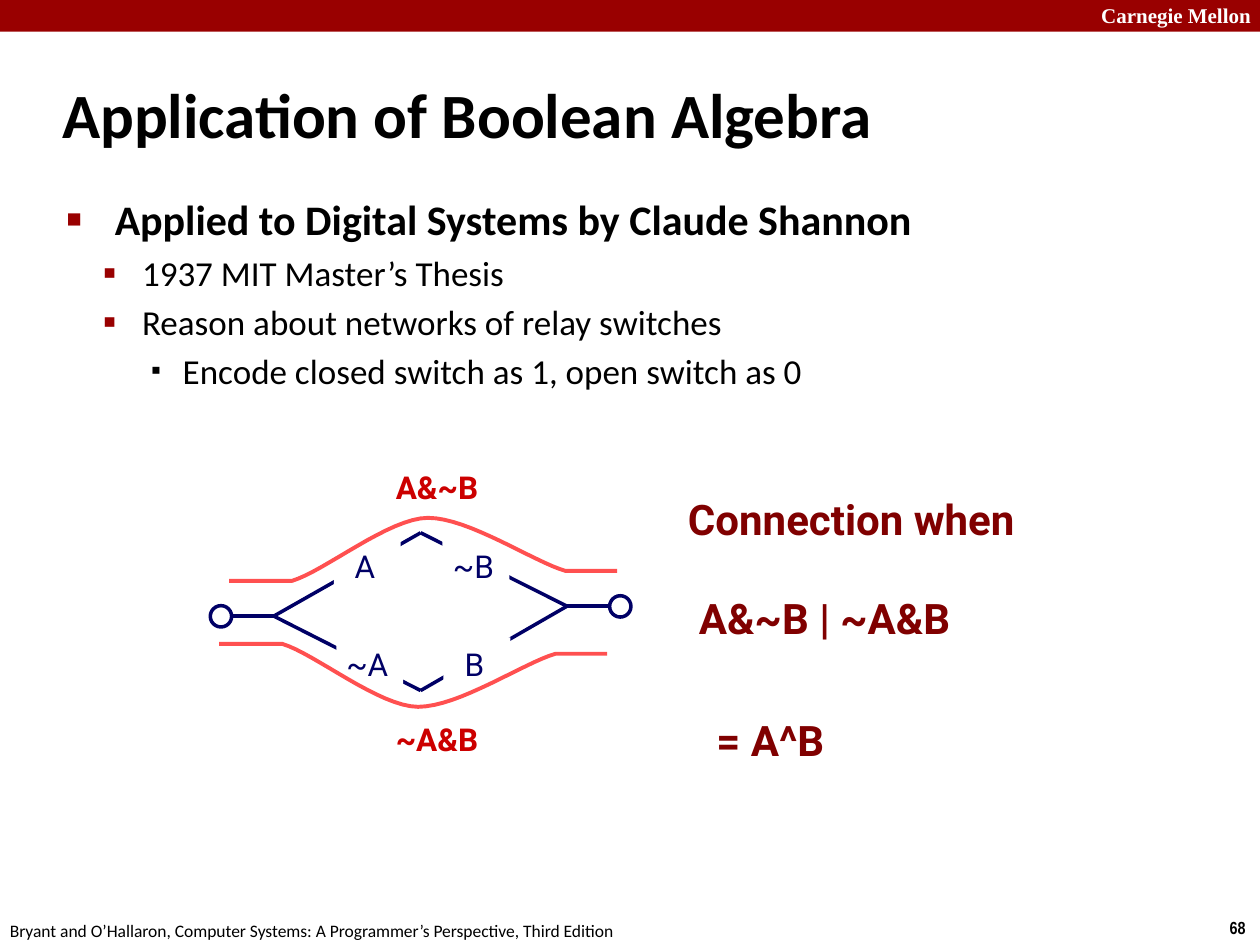
"""Build the slide on Boolean algebra applied to relay switch networks."""
from lxml.etree import SubElement
from pptx import Presentation
from pptx.dml.color import RGBColor
from pptx.enum.shapes import MSO_CONNECTOR as Link, MSO_SHAPE as Shape
from pptx.enum.text import MSO_ANCHOR as Anchor, MSO_AUTO_SIZE as Fit, PP_ALIGN as Align
from pptx.oxml.ns import qn
from pptx.util import Cm, Pt


def color(value):
    return RGBColor.from_string(value)


def write(holder, box, lines, frame_format, paragraph_format, font_format, ink):
    for side, length in zip(("left", "top", "width", "height"), box):
        setattr(holder, side, Cm(length))
    frame = holder.text_frame
    frame.text = "\n".join(lines)
    for key, value in frame_format.items():
        setattr(frame, key, value)
    for paragraph in frame.paragraphs:
        for key, value in paragraph_format.items():
            setattr(paragraph, key, value)
        for key, value in font_format.items():
            setattr(paragraph.font, key, value)
        paragraph.font.color.rgb = color(ink)
    return frame.paragraphs


RED, NAVY, MAROON, PATH_RED = "990000", "000066", "800000", "FF5050"
tight = {"margin_left": Cm(0.15), "margin_top": Cm(0.15), "margin_bottom": Cm(0.15),
         "word_wrap": False, "vertical_anchor": Anchor.TOP}
centered = {"alignment": Align.CENTER}

deck = Presentation()
deck.slide_width, deck.slide_height = Cm(25.4), Cm(19.05)
slide = deck.slides.add_slide(deck.slide_layouts[1])
shapes = slide.shapes

banner = shapes.add_shape(Shape.RECTANGLE, 0, 0, deck.slide_width, Cm(0.64))
banner.shadow.inherit = False
banner.fill.solid()
banner.fill.fore_color.rgb = color(RED)
banner.line.fill.background()

margin_notes = [
    ("Carnegie Mellon", (21.95, -0.08, 3.63, 0.76), "Times New Roman", 12, True, "FFFFFF"),
    ("68", (24.54, 18.36, 0.86, 0.69), "Arial Narrow", 10, True, "000000"),
    ("Bryant and O’Hallaron, Computer Systems: A Programmer’s Perspective, Third Edition",
     (-0.05, 18.42, 12.9, 0.69), "Calibri", 10, False, "000000"),
]
for note, box, face, size, bold, ink in margin_notes:
    write(shapes.add_textbox(0, 0, 0, 0), box, [note], {"word_wrap": False}, {},
          {"name": face, "size": Pt(size), "bold": bold}, ink)

write(shapes.title, (1, 1.22, 21.08, 2.11), ["Application of Boolean Algebra"],
      {"vertical_anchor": Anchor.MIDDLE, "auto_size": Fit.NONE}, {"alignment": Align.LEFT},
      {"name": "Calibri", "size": Pt(36), "bold": True}, "000000")

outline = [
    ("Applied to Digital Systems by Claude Shannon", 0),
    ("1937 MIT Master’s Thesis", 1),
    ("Reason about networks of relay switches", 1),
    ("Encode closed switch as 1, open switch as 0", 2),
]
levels = [
    {"indent": 0.97, "hang": 0.97, "mark": "■", "scale": 60, "ink": RED, "size": 24},
    {"indent": 1.52, "hang": 0.79, "mark": "▪", "scale": 110, "ink": RED, "size": 20},
    {"indent": 2.34, "hang": 0.64, "mark": "▪", "scale": 80, "ink": "000000", "size": 20},
]
points = write(slide.placeholders[1], (1.09, 3.78, 21.95, 13.82), [text for text, _ in outline],
               {"auto_size": Fit.NONE}, {}, {"name": "Calibri"}, "000000")
for order, (point, (_, depth)) in enumerate(zip(points, outline)):
    level = levels[depth]
    point.level = depth
    point.space_before = Pt(0.2 * level["size"] if order else 0)
    properties = point._p.get_or_add_pPr()
    properties.set("marL", str(Cm(level["indent"])))
    properties.set("indent", str(-Cm(level["hang"])))
    bullet_color = SubElement(properties, qn("a:buClr"))
    SubElement(bullet_color, qn("a:srgbClr"), val=level["ink"])
    SubElement(properties, qn("a:buSzPct"), val=str(level["scale"] * 1000))
    SubElement(properties, qn("a:buFont"), typeface="Arial")
    SubElement(properties, qn("a:buChar"), char=level["mark"])
    properties.append(properties.find(qn("a:defRPr")))
    point.font.size = Pt(level["size"])
    point.font.bold = depth == 0

west, north, south, east = (5.52, 12.42), (8.48, 10.74), (8.48, 13.92), (11.43, 12.22)
wires = [(west, north), (west, south), (north, east), (south, east),
         (east, (12.29, 12.22)), ((4.67, 12.42), west)]
for start, end in wires:
    wire = shapes.add_connector(Link.STRAIGHT, *map(Cm, start + end))
    wire.line.color.rgb = color(NAVY)
    wire.line.width = Pt(2)
    SubElement(wire._element.spPr, qn("a:effectLst"))

for switch, left, top in [("A", 6.73, 10.87), ("~A", 6.78, 12.85),
                          ("~B", 8.92, 10.87), ("B", 8.94, 12.85)]:
    gate = shapes.add_shape(Shape.RECTANGLE, 0, 0, 0, 0)
    gate.shadow.inherit = False
    gate.fill.solid()
    gate.fill.fore_color.rgb = color("FFFFFF")
    gate.line.fill.background()
    write(gate, (left, top, 1.35, 1.07), [switch], tight, centered,
          {"name": "Roboto", "size": Pt(18)}, NAVY)

for left, top in [(4.24, 12.21), (12.29, 12.01)]:
    terminal = shapes.add_shape(Shape.OVAL, Cm(left), Cm(top), Cm(0.43), Cm(0.43))
    terminal.shadow.inherit = False
    terminal.fill.solid()
    terminal.fill.fore_color.rgb = color("FFFFFF")
    terminal.line.color.rgb = color(NAVY)
    terminal.line.width = Pt(2)

bends = [[(1.27, 0), (1.93, 0.2), (3.23, 1.27), (4.01, 1.27)],
         [(4.01, 1.27), (4.83, 1.27), (6.15, 0.38), (6.78, 0.2)]]
steps = 16
route = [(0, 0), bends[0][0]]
for bend in bends:
    for step in range(1, steps + 1):
        t = step / steps
        weights = ((1 - t) ** 3, 3 * t * (1 - t) ** 2, 3 * t * t * (1 - t), t ** 3)
        route.append(tuple(sum(w * v for w, v in zip(weights, axis)) for axis in zip(*bend)))
route.append((7.82, 0.2))

for product, left, top, rise, label_top in [("A&~B", 4.62, 11.71, -1, 9.37),
                                            ("~A&B", 4.42, 12.98, 1, 14.45)]:
    trace = [(Cm(left + x), Cm(top + rise * y)) for x, y in route]
    builder = shapes.build_freeform(*trace[0])
    builder.add_line_segments(trace[1:], close=False)
    current = builder.convert_to_shape()
    current.shadow.inherit = False
    current.fill.background()
    current.line.color.rgb = color(PATH_RED)
    current.line.width = Pt(2.25)
    write(shapes.add_textbox(0, 0, 0, 0), (7.77, label_top, 2.06, 1.07), [product],
          {**tight, "margin_right": Cm(0.13)}, {**centered, "line_spacing": 0.9},
          {"name": "Roboto", "size": Pt(18), "bold": True}, "CC0000")

strong = {"name": "Roboto", "size": Pt(24), "bold": True}
condition = write(shapes.add_textbox(0, 0, 0, 0), (13.72, 9.8, 7.49, 5.38),
                  ["Connection when", "A&~B | ~A&B"], tight, {}, strong, MAROON)
condition[1].space_before = Pt(28)
condition[1]._p.get_or_add_pPr().set("marL", str(Cm(0.22)))
write(shapes.add_textbox(0, 0, 0, 0), (14.15, 14.25, 2.74, 1.3), ["= A^B"],
      {**tight, "margin_right": Cm(0.13)}, centered, strong, MAROON)

deck.save("out.pptx")
